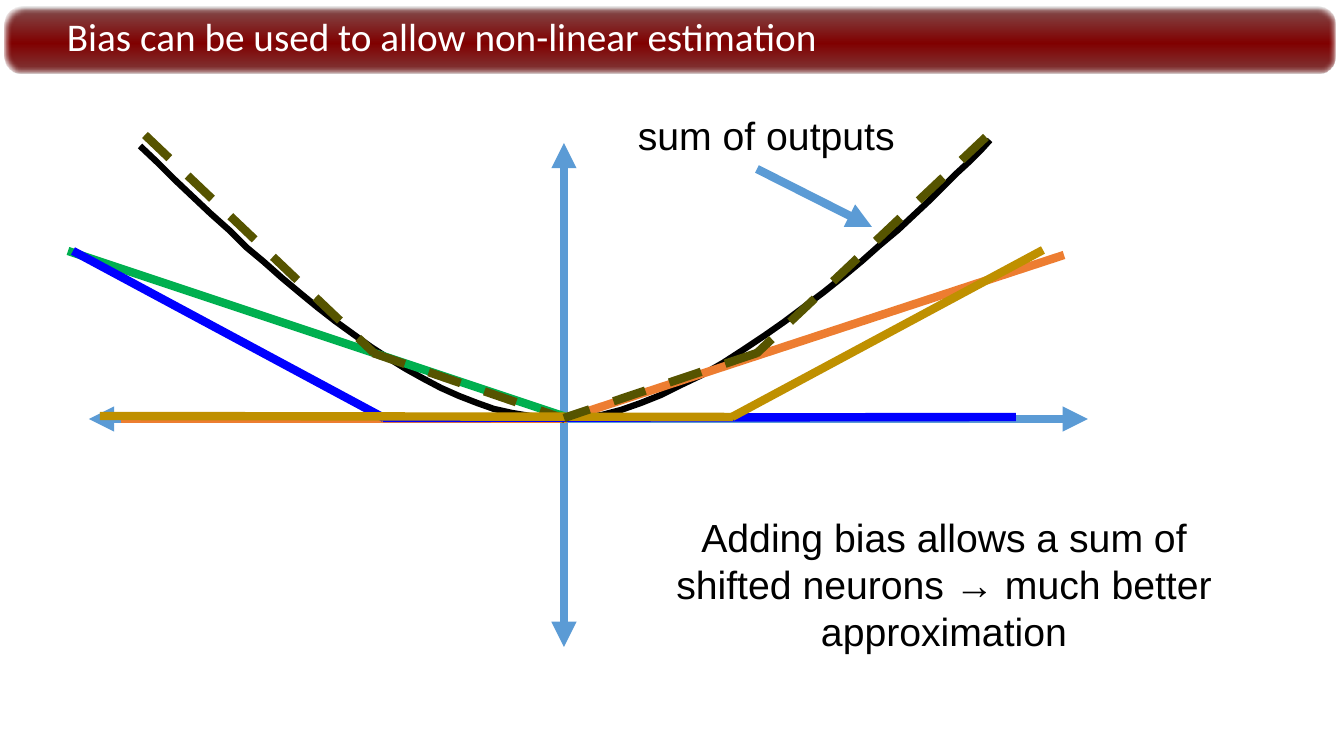
from dataclasses import dataclass

from lxml import etree
from pptx import Presentation
from pptx import util as u
from pptx.dml.color import RGBColor
from pptx.enum import dml, shapes, text
from pptx.oxml import parse_xml
from pptx.oxml.ns import nsdecls, qn

PX = 914400 / 100.8


def emu(n):
    return u.Emu(round(n * PX))


@dataclass(frozen=True)
class Theme:
    axis: str = "5B9BD5"
    ink: str = "000000"
    white: str = "FFFFFF"
    orange: str = "ED7D31"
    green: str = "00B050"
    blue: str = "0000FF"
    gold: str = "BF9000"
    sum: str = "565400"
    bar: tuple = ((0, "808080", 50), (5, "814949", 100), (54, "800000", 100),
                  (96, "7F3838", 100), (99.5, "7F6060", 100), (100, "808080", 50))
    head: str = "Calibri"
    body: str = "Arial"
    size: float = 28
    line: float = 6
    curve: float = 4.5


class Slide:
    def __init__(self, deck, theme):
        self.theme = theme
        self.shapes = deck.slides.add_slide(deck.slide_layouts[6]).shapes

    def bar(self, x, y, w, h):
        bar = self.shapes.add_shape(
            shapes.MSO_SHAPE.ROUNDED_RECTANGLE, emu(x), emu(y), emu(w), emu(h))
        bar.adjustments[0] = 0.27
        bar.shadow.inherit = False
        bar.line.fill.background()
        bar.fill.gradient()
        bar.fill.gradient_angle = 270
        props = bar._element.spPr
        stops = props.find(qn("a:gradFill")).find(qn("a:gsLst"))
        for stop in list(stops):
            stops.remove(stop)
        for pos, color, alpha in self.theme.bar:
            stops.append(parse_xml(
                f'<a:gs {nsdecls("a")} pos="{round(pos * 1000)}"><a:srgbClr val="{color}">'
                f'<a:alpha val="{alpha * 1000}"/></a:srgbClr></a:gs>'))
        etree.SubElement(props.find(qn("a:effectLst")), qn("a:softEdge"), rad="31750")

    def label(self, words, x, y, w, h, color, font, align=text.PP_ALIGN.LEFT,
              wrap=True, inset=True, middle=False, space=1.0):
        frame = self.shapes.add_textbox(emu(x), emu(y), emu(w), emu(h)).text_frame
        frame.word_wrap = wrap
        if not inset:
            frame.margin_left = frame.margin_right = 0
            frame.margin_top = frame.margin_bottom = 0
        if middle:
            frame.vertical_anchor = text.MSO_ANCHOR.MIDDLE
        frame.text = words
        para = frame.paragraphs[0]
        para.alignment = align
        para.line_spacing = space
        style = para.runs[0].font
        style.name, style.size = font, u.Pt(self.theme.size)
        style.color.rgb = RGBColor.from_string(color)

    def line(self, ends, color, dash=False, arrows=(), home=None):
        line = (home or self.shapes).add_connector(
            shapes.MSO_CONNECTOR.STRAIGHT, *map(emu, ends))
        line.line.color.rgb = RGBColor.from_string(color)
        line.line.width = u.Pt(self.theme.line)
        if dash:
            line.line.dash_style = dml.MSO_LINE.DASH
        for end in arrows:
            etree.SubElement(line.line._get_or_add_ln(), qn(f"a:{end}"), type="triangle")
        etree.SubElement(line._element.spPr, qn("a:effectLst"))

    def neuron(self, color, *parts):
        group = self.shapes.add_group_shape()
        for ends in parts:
            self.line(ends, color, home=group.shapes)

    def curve(self, start, *bends, steps=24):
        dots, last = [], start
        for bend in bends:
            knots = (last, *bend)
            for i in range(1, steps + 1):
                t = i / steps
                mix = ((1 - t) ** 3, 3 * t * (1 - t) ** 2, 3 * t * t * (1 - t), t ** 3)
                dots.append(tuple(sum(m * k[a] for m, k in zip(mix, knots))
                                  for a in (0, 1)))
            last = bend[-1]
        build = self.shapes.build_freeform(*start, scale=PX)
        build.add_line_segments(dots, close=False)
        curve = build.convert_to_shape()
        curve.shadow.inherit = False
        curve.fill.background()
        curve.line.color.rgb = RGBColor.from_string(self.theme.ink)
        curve.line.width = u.Pt(self.theme.curve)


def main():
    deck = Presentation()
    deck.slide_width, deck.slide_height = emu(1344), emu(756)
    look = Theme()
    page = Slide(deck, look)
    both = ("headEnd", "tailEnd")

    page.bar(5, 7, 1331, 67)
    page.label("Bias can be used to allow non-linear estimation", 67, 11, 1253, 55,
               look.white, look.head, inset=False, middle=True, space=0.9)

    page.line((89, 419, 1088, 419), look.axis, arrows=both)
    page.line((564, 143, 564, 647), look.axis, arrows=both)
    page.curve((140, 146),
               ((282, 283), (424, 420), (565, 419)),
               ((707, 418), (920, 214), (990, 140)))

    page.neuron(look.orange, (121, 419, 565, 419), (564, 419, 1064, 255))
    page.label("Adding bias allows a sum of shifted neurons → much better approximation",
               642, 508, 604, 152, look.ink, look.body, align=text.PP_ALIGN.CENTER)
    page.neuron(look.green, (1010, 417, 565, 417), (566, 417, 68, 251))
    page.line((373, 353, 565, 419), look.sum, dash=True)
    page.neuron(look.blue, (1016, 417, 383, 418), (384, 418, 73, 251))
    page.neuron(look.gold, (100, 416, 733, 417), (732, 417, 1043, 250))
    for ends in ((145, 135, 374, 353), (757, 353, 564, 418), (986, 137, 756, 354)):
        page.line(ends, look.sum, dash=True)

    page.label("sum of outputs", 628, 106, 280, 57, look.ink, look.body, wrap=False)
    page.line((757, 169, 872, 227), look.axis, arrows=("tailEnd",))
    deck.save("out.pptx")


if __name__ == "__main__":
    main()
